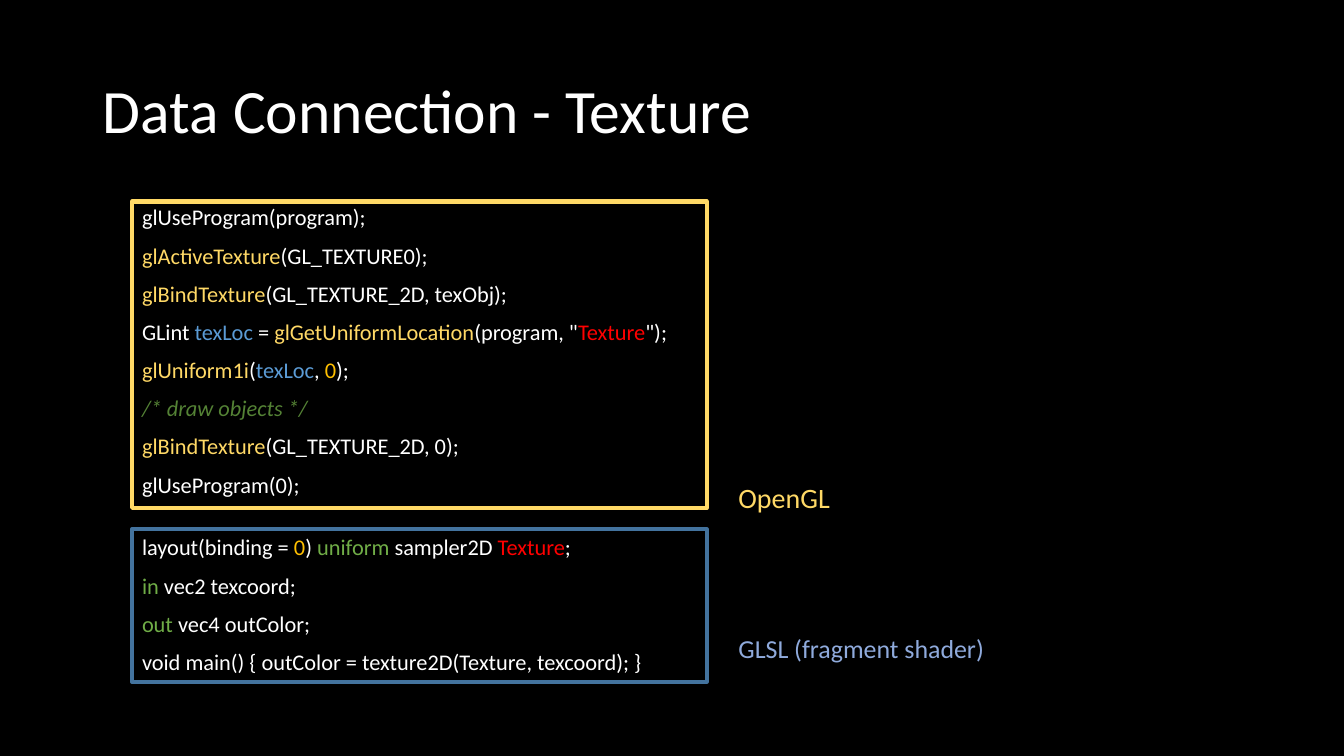
"""Build the texture data connection slide."""
from dataclasses import dataclass

from pptx import Presentation
from pptx.dml.color import RGBColor
from pptx.enum.shapes import MSO_SHAPE
from pptx.enum.text import MSO_ANCHOR, MSO_AUTO_SIZE, PP_ALIGN
from pptx.slide import Slide
from pptx.text.text import TextFrame, _Paragraph
from pptx.util import Cm, Pt


@dataclass(frozen=True)
class Theme:
    """Hold the colours, type sizes and spacing."""
    font: str = "Calibri"
    back: str = "000000"
    plain: str = "FFFFFF"
    call: str = "FFD966"
    local: str = "5B9BD5"
    link: str = "FF0000"
    unit: str = "FFC000"
    note: str = "548235"
    word: str = "70AD47"
    shader: str = "43739E"
    label: str = "8FAADC"
    title: float = 44
    code: float = 16
    large: float = 20
    small: float = 18.5
    border: float = 3
    leading: float = 0.9
    gap: float = 10
    split: float = 27.6


@dataclass(frozen=True)
class Box:
    """Place an element, in centimetres."""
    left: float
    top: float
    width: float
    height: float

    def cm(self) -> tuple[Cm, Cm, Cm, Cm]:
        """Return the place as lengths."""
        return Cm(self.left), Cm(self.top), Cm(self.width), Cm(self.height)


@dataclass(frozen=True)
class Span:
    """Pair a piece of text with its colour."""
    text: str
    hue: str


@dataclass(frozen=True)
class Frame:
    """Describe an outlined code area."""
    box: Box
    hue: str


@dataclass(frozen=True)
class Label:
    """Describe a caption beside a code area."""
    box: Box
    span: Span
    size: float


THEME = Theme()
TITLE = "Data Connection - Texture"
HEAD = Box(2.34, 1.02, 29.21, 3.68)
LISTING = Box(3.33, 5.08, 14.48, 12.09)


def plain(text: str) -> Span:
    """Make a span in the main text colour."""
    return Span(text, THEME.plain)


def call(text: str) -> Span:
    """Make a span in the function colour."""
    return Span(text, THEME.call)


HOST = [
    [plain("glUseProgram(program);")],
    [call("glActiveTexture"), plain("(GL_TEXTURE0);")],
    [call("glBindTexture"), plain("(GL_TEXTURE_2D, texObj);")],
    [plain("GLint "), Span("texLoc ", THEME.local), plain("= "),
     call("glGetUniformLocation"), plain('(program, "'),
     Span("Texture", THEME.link), plain('");')],
    [call("glUniform1i"), plain("("), Span("texLoc", THEME.local),
     plain(", "), Span("0", THEME.unit), plain(");")],
    [Span("/* draw objects */", THEME.note)],
    [call("glBindTexture"), plain("(GL_TEXTURE_2D, 0);")],
    [plain("glUseProgram(0);")],
]
SHADER = [
    [plain("layout(binding = "), Span("0", THEME.unit), plain(") "),
     Span("uniform ", THEME.word), plain("sampler2D "),
     Span("Texture", THEME.link), plain(";")],
    [Span("in", THEME.word), plain(" vec2 texcoord;")],
    [Span("out", THEME.word), plain(" vec4 outColor;")],
    [plain("void main() { outColor = texture2D(Texture, texcoord); }")],
]
FRAMES = [
    Frame(Box(3.33, 5.08, 14.48, 7.72), THEME.call),
    Frame(Box(3.33, 13.34, 14.48, 3.84), THEME.shader),
]
LABELS = [
    Label(Box(18.36, 12.07, 4.42, 1.47), call("OpenGL"), THEME.large),
    Label(Box(18.36, 15.9, 6.88, 1.47),
          Span("GLSL (fragment shader)", THEME.label), THEME.small),
]


def write(para: _Paragraph, spans: list[Span], size: float) -> None:
    """Fill a paragraph with coloured spans."""
    para.line_spacing = THEME.leading
    para.alignment = PP_ALIGN.LEFT
    for span in spans:
        run = para.add_run()
        run.text = span.text
        run.font.name = THEME.font
        run.font.size = Pt(size)
        run.font.color.rgb = RGBColor.from_string(span.hue)
        if span.hue == THEME.note:
            run.font.italic = True


def add_text(slide: Slide, box: Box) -> TextFrame:
    """Add a wrapping text box and return its frame."""
    frame = slide.shapes.add_textbox(*box.cm()).text_frame
    frame.word_wrap = True
    return frame


def add_title(slide: Slide) -> None:
    """Move and fill the title placeholder."""
    title = slide.shapes.title
    title.left, title.top, title.width, title.height = HEAD.cm()
    frame = title.text_frame
    frame.auto_size = MSO_AUTO_SIZE.NONE
    frame.vertical_anchor = MSO_ANCHOR.MIDDLE
    write(frame.paragraphs[0], [plain(TITLE)], THEME.title)


def add_code(slide: Slide) -> None:
    """Add both code parts, set apart by a wider gap."""
    frame = add_text(slide, LISTING)
    for index, spans in enumerate(HOST + SHADER):
        para = frame.add_paragraph() if index else frame.paragraphs[0]
        if index:
            gap = THEME.split if index == len(HOST) else THEME.gap
            para.space_before = Pt(gap)
        write(para, spans, THEME.code)


def add_frame(slide: Slide, item: Frame) -> None:
    """Add an outlined rectangle."""
    shape = slide.shapes.add_shape(MSO_SHAPE.RECTANGLE, *item.box.cm())
    shape.shadow.inherit = False
    shape.fill.background()
    shape.line.color.rgb = RGBColor.from_string(item.hue)
    shape.line.width = Pt(THEME.border)


def add_label(slide: Slide, item: Label) -> None:
    """Add a caption."""
    frame = add_text(slide, item.box)
    write(frame.paragraphs[0], [item.span], item.size)


def main() -> None:
    """Build and save the slide."""
    deck = Presentation()
    deck.slide_width, deck.slide_height = Cm(33.87), Cm(19.05)
    slide = deck.slides.add_slide(deck.slide_layouts[5])
    slide.background.fill.solid()
    slide.background.fill.fore_color.rgb = RGBColor.from_string(THEME.back)
    add_title(slide)
    add_code(slide)
    for item in FRAMES:
        add_frame(slide, item)
    for item in LABELS:
        add_label(slide, item)
    deck.save("out.pptx")


if __name__ == "__main__":
    main()
